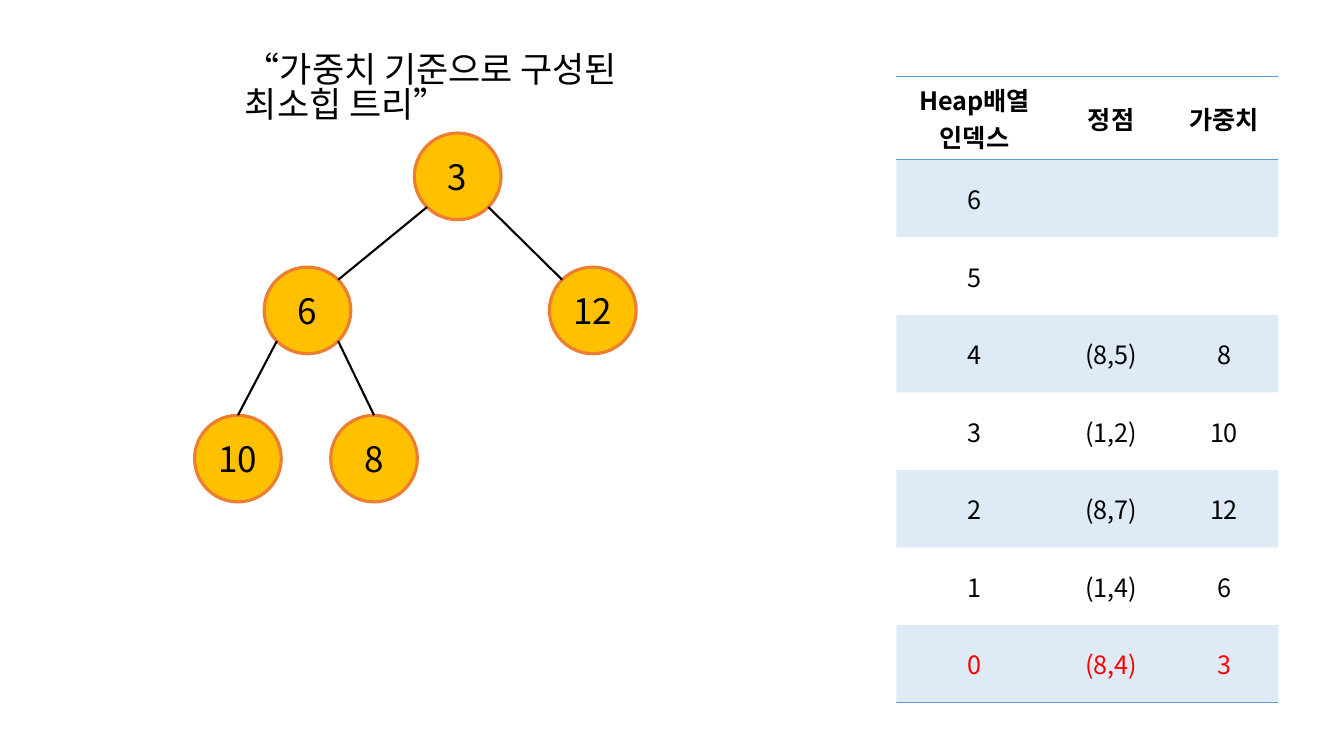
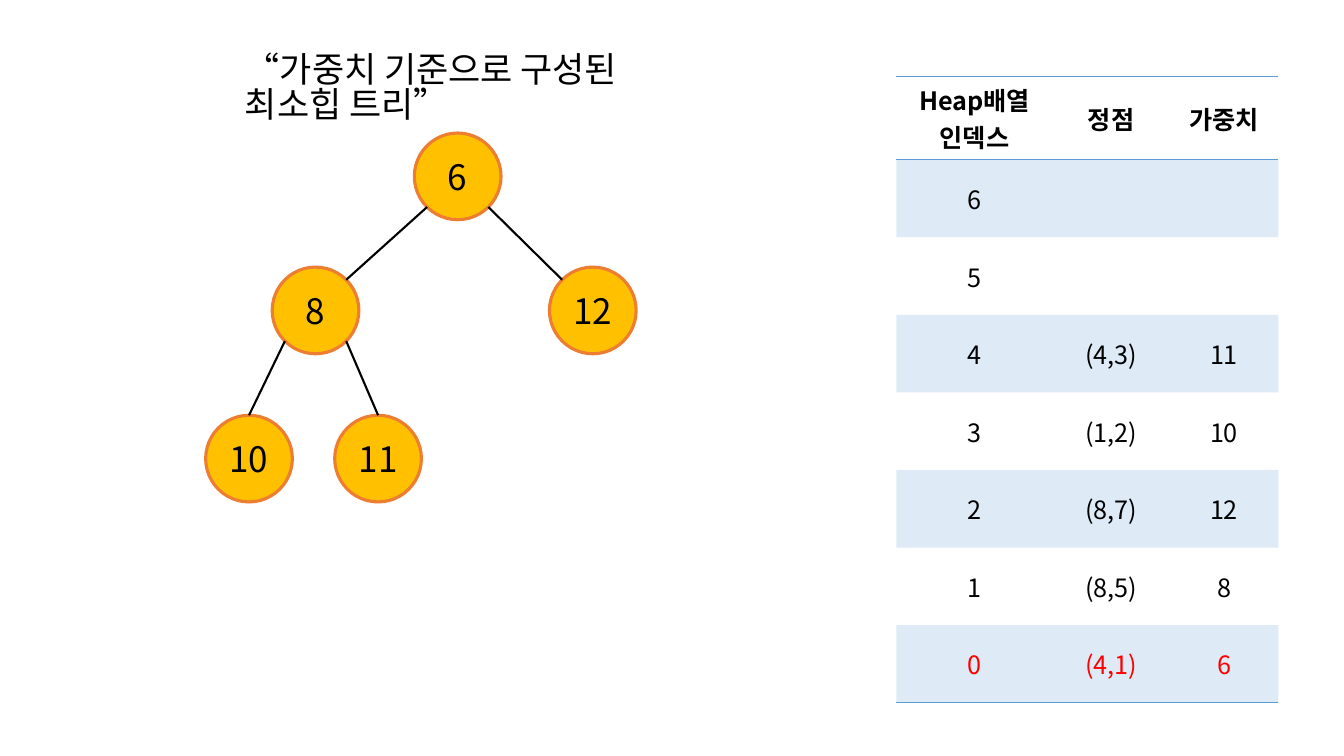
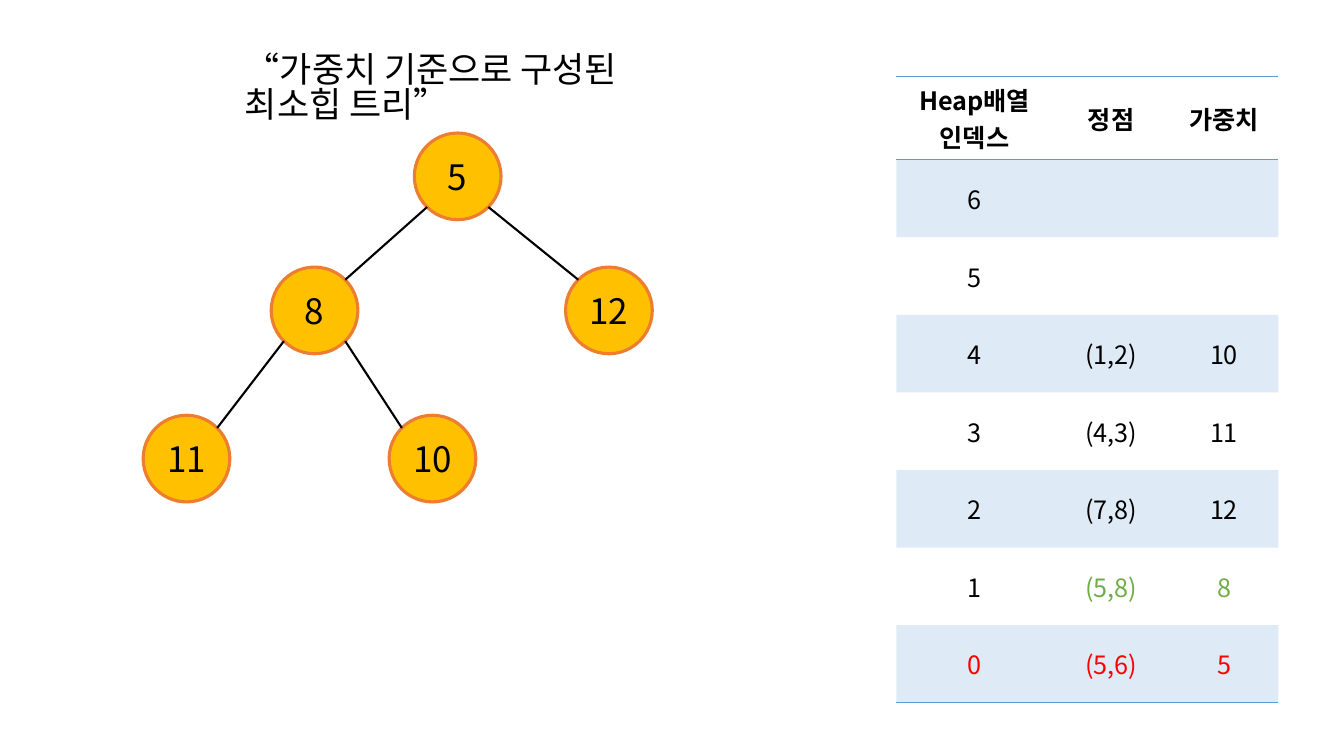
import pptx
import pptx.util
import pptx.dml.color
import pptx.enum.shapes
import pptx.enum.text
import pptx.oxml
import pptx.oxml.ns

Inches = pptx.util.Inches
Pt = pptx.util.Pt
RGB = pptx.dml.color.RGBColor
ALIGN = pptx.enum.text.PP_ALIGN
MIDDLE = pptx.enum.text.MSO_ANCHOR.MIDDLE
qn = pptx.oxml.ns.qn

# Shared look
FONT = "Noto Sans CJK KR"
BLACK = RGB(0x00, 0x00, 0x00)
RED = RGB(0xFF, 0x00, 0x00)
GREEN = RGB(0x70, 0xAD, 0x47)
BLUE = RGB(0x5B, 0x9B, 0xD5)
GOLD = RGB(0xFF, 0xC0, 0x00)
ORANGE = RGB(0xED, 0x7D, 0x31)
BIG = {"size": Pt(25), "bold": False}
HEAD = {"size": Pt(18), "bold": True}
CELL = {"size": Pt(18), "bold": False}
NO_GRID = "{2D5ABB26-0587-4C30-8999-92F81FD0307C}"

TITLE = "“가중치 기준으로 구성된 최소힙 트리”"
TITLE_BOX = (2.33, 0.49, 4.76, 0.94)
TREE_AT = (1.42, 1.32)
TABLE_AT = (8.89, 0.76)
HEADS = ("Heap배열\n인덱스", "정점", "가중치")
COLS = (1.55, 1.16, 1.08)
HEAD_H, ROW_H = 0.72, 0.77
SLOTS = 7

# Tree measures, relative to the tree's box
NODE = 0.86
LEVELS = (0, 1.33, 2.8)
NEAR = 0.43 * (1 - 0.5 ** 0.5)
FAR = NODE - NEAR
WIDE = 1

# Heap entries in index order: vertex, weight, node left
STEPS = (
    {"heap": (("(8,4)", 3, 2.69), ("(1,4)", 6, 1.2), ("(8,7)", 12, 4.03),
              ("(1,2)", 10, 0.51), ("(8,5)", 8, 1.86)), "marks": {}},
    {"heap": (("(4,1)", 6, 2.69), ("(8,5)", 8, 1.28), ("(8,7)", 12, 4.03),
              ("(1,2)", 10, 0.62), ("(4,3)", 11, 1.9)), "marks": {}},
    {"heap": (("(5,6)", 5, 2.69), ("(5,8)", 8, 1.27), ("(7,8)", 12, 4.19),
              ("(4,3)", 11, 0), ("(1,2)", 10, 2.44)), "marks": {1: GREEN}},
)


def write(frame, text, style, color=BLACK, align=ALIGN.CENTER):
    """Fill a text frame, one paragraph a line."""
    frame.text = text
    for par in frame.paragraphs:
        par.alignment = align
        for run in par.runs:
            for key, value in style.items():
                setattr(run.font, key, value)
            run.font.name = FONT
            run.font.color.rgb = color
            east = pptx.oxml.parse_xml(
                f'<a:ea {pptx.oxml.ns.nsdecls("a")} typeface="{FONT}"/>')
            run.font._element.append(east)


def add_title(slide, box):
    title = slide.shapes.title
    title.left, title.top, title.width, title.height = map(Inches, box)
    frame = title.text_frame
    frame.word_wrap = True
    frame.auto_size = pptx.enum.text.MSO_AUTO_SIZE.NONE
    frame.vertical_anchor = pptx.enum.text.MSO_ANCHOR.TOP
    write(frame, TITLE, BIG, align=ALIGN.LEFT)
    frame.paragraphs[0].line_spacing = 0.83


def add_node(slide, x, y, text):
    node = slide.shapes.add_shape(pptx.enum.shapes.MSO_SHAPE.OVAL,
                                  *map(Inches, (x, y, NODE, NODE)))
    node.shadow.inherit = False
    node.fill.solid()
    node.fill.fore_color.rgb = GOLD
    node.line.color.rgb = ORANGE
    node.line.width = Pt(2.25)
    frame = node.text_frame
    frame.margin_left = frame.margin_right = 0
    frame.vertical_anchor = MIDDLE
    write(frame, text, BIG)


def add_edge(slide, high, low):
    """Join a parent's lower corner to a child's top or upper corner."""
    shift = low[0] - high[0]
    start, end = (FAR, NEAR) if shift > 0 else (NEAR, FAR)
    dip = NEAR
    if abs(shift) < WIDE:
        end, dip = NODE / 2, 0
    edge = slide.shapes.add_connector(
        pptx.enum.shapes.MSO_CONNECTOR.STRAIGHT,
        *map(Inches, (high[0] + start, high[1] + FAR,
                      low[0] + end, low[1] + dip)))
    edge.line.color.rgb = BLACK
    edge.line.width = Pt(1.5)
    edge._element.spPr.append(pptx.oxml.parse_xml(
        f'<a:effectLst {pptx.oxml.ns.nsdecls("a")}/>'))


def add_tree(slide, at, heap):
    spots = [(at[0] + x, at[1] + LEVELS[(i + 1).bit_length() - 1])
             for i, (_, _, x) in enumerate(heap)]
    for (x, y), (_, weight, _) in zip(spots, heap):
        add_node(slide, x, y, str(weight))
    for i in range(1, len(spots)):
        add_edge(slide, spots[(i - 1) // 2], spots[i])


def add_rule(cell, sides):
    """Draw thin blue borders, sides given as T and B."""
    props = cell._tc.get_or_add_tcPr()
    for spot, side in enumerate(sides):
        props.insert(spot, pptx.oxml.parse_xml(
            f'<a:ln{side} {pptx.oxml.ns.nsdecls("a")} w="12700"><a:solidFill>'
            f'<a:srgbClr val="{BLUE}"/></a:solidFill></a:ln{side}>'))


def tint(cell):
    cell.fill.solid()
    cell.fill.fore_color.rgb = BLUE
    shade = cell._tc.tcPr.find(".//" + qn("a:srgbClr"))
    shade.append(pptx.oxml.parse_xml(
        f'<a:alpha {pptx.oxml.ns.nsdecls("a")} val="20000"/>'))


def add_array(slide, at, heap, marks):
    box = (*at, sum(COLS), HEAD_H + SLOTS * ROW_H)
    table = slide.shapes.add_table(SLOTS + 1, len(COLS),
                                   *map(Inches, box)).table
    table.first_row = table.horz_banding = False
    table._tbl.tblPr.find(qn("a:tableStyleId")).text = NO_GRID
    for col, width in zip(table.columns, COLS):
        col.width = Inches(width)

    # Slots run downwards from the highest index
    rows = [HEADS]
    for slot in reversed(range(SLOTS)):
        pair = heap[slot][:2] if slot < len(heap) else ("", "")
        rows.append((slot, *pair))

    for r, values in enumerate(rows):
        table.rows[r].height = Inches(ROW_H if r else HEAD_H)
        slot = SLOTS - r
        for c, value in enumerate(values):
            cell = table.cell(r, c)
            cell.vertical_anchor = MIDDLE
            color = RED if slot == 0 else BLACK
            if c:
                color = marks.get(slot, color)
            write(cell.text_frame, str(value), CELL if r else HEAD, color)
            if r % 2:
                tint(cell)
            else:
                cell.fill.background()
            if r == 0:
                add_rule(cell, "TB")
            elif r == SLOTS:
                add_rule(cell, "B")


def add_step(deck, step):
    slide = deck.slides.add_slide(deck.slide_layouts[5])
    add_title(slide, TITLE_BOX)
    add_array(slide, TABLE_AT, step["heap"], step["marks"])
    add_tree(slide, TREE_AT, step["heap"])


def main():
    deck = pptx.Presentation()
    deck.slide_width, deck.slide_height = Inches(13.33), Inches(7.5)
    for step in STEPS:
        add_step(deck, step)
    deck.save("out.pptx")


if __name__ == "__main__":
    main()
